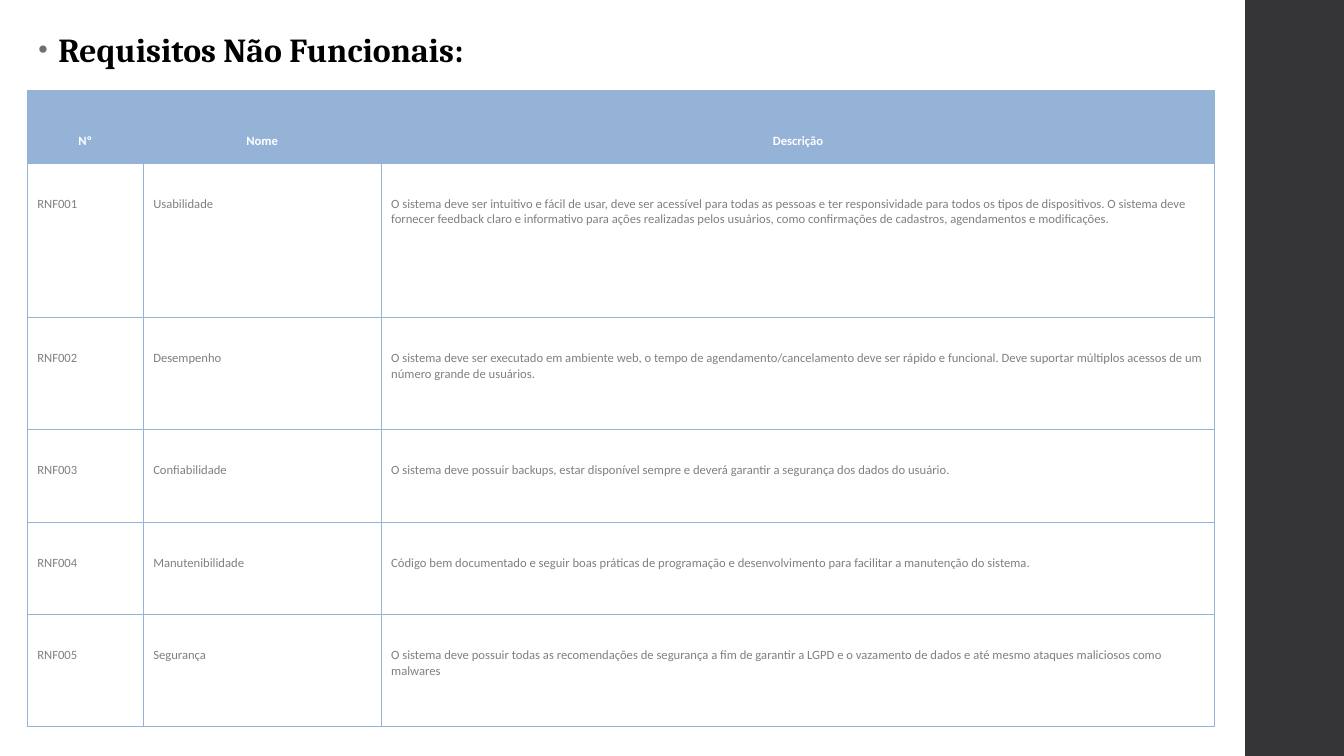
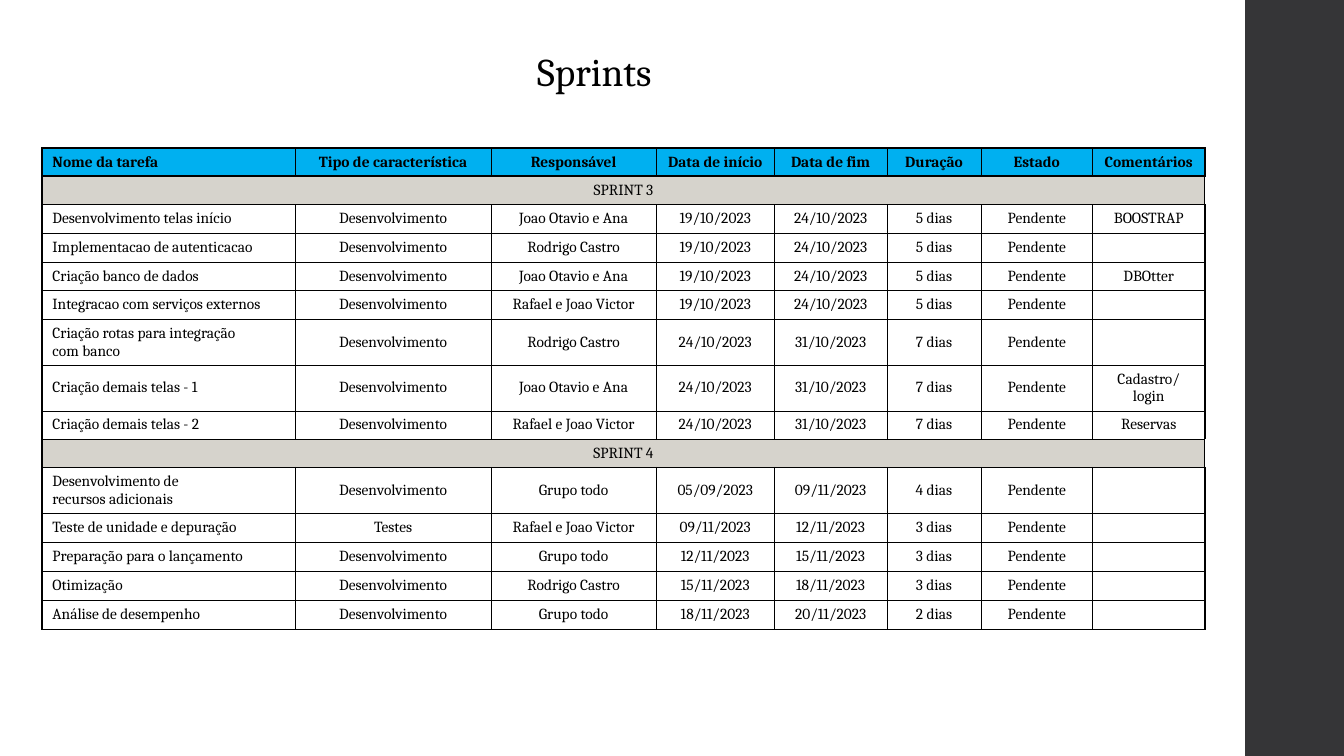
from lxml.etree import SubElement
from pptx import Presentation
from pptx.dml.color import RGBColor
from pptx.enum.shapes import MSO_SHAPE
from pptx.enum.text import MSO_ANCHOR, MSO_AUTO_SIZE, PP_ALIGN
from pptx.oxml.ns import qn
from pptx.util import Inches, Pt

COLORS = {
    "band": "353537", "bullet": "6F6F74", "black": "000000", "white": "FFFFFF",
    "steel": "95B3D7", "gray": "808080", "sky": "00B0F0", "sand": "D6D3CC",
}
SLIDE_W, SLIDE_H, BAND_X = 13.33, 7.5, 12.35
NBSP = chr(160)  # written as ~ in the texts below

REQ_TITLE = "Requisitos~Não Funcionais:"
REQ_COLS = [1.15, 2.36, 8.27]
REQ_ROWS = [0.72, 1.53, 1.11, 0.92, 0.92, 1.11]
REQ_TOP_MARGIN = 0.33
REQUIREMENTS = [
    ("Nº", "Nome", "Descrição"),
    ("RNF001", "Usabilidade",
     "O sistema deve ser intuitivo e fácil de usar, deve ser acessível para todas as pessoas "
     "e ter responsividade para todos os tipos de dispositivos. O sistema deve fornecer "
     "feedback claro e informativo para ações realizadas pelos usuários, como confirmações "
     "de cadastros, agendamentos e modificações."),
    ("RNF002", "Desempenho",
     "O sistema deve ser executado em ambiente web, o tempo de agendamento/cancelamento deve "
     "ser rápido e funcional. Deve suportar múltiplos acessos de um número grande de usuários."),
    ("RNF003", "Confiabilidade",
     "O sistema deve possuir backups, estar disponível sempre e deverá garantir a segurança "
     "dos dados do usuário."),
    ("RNF004", "Manutenibilidade",
     "Código bem documentado e seguir boas práticas de programação e desenvolvimento para "
     "facilitar a manutenção do sistema."),
    ("RNF005", "Segurança",
     "O sistema deve possuir todas as recomendações de segurança a fim de garantir a LGPD e o "
     "vazamento de dados e até mesmo ataques maliciosos como malwares"),
]

SPRINT_TITLE = "Sprints"
SPRINT_COLS = [2.51, 1.94, 1.64, 1.17, 1.12, 0.93, 1.11, 1.11]
ROW_H, TALL_ROW_H = 0.28, 0.45
TALL_ROWS = {6, 7, 10}
DEV, OPEN = "Desenvolvimento", "Pendente"
SPRINTS = [
    ("Nome da tarefa", "Tipo~de~característica", "Responsável", "Data de início",
     "Data de fim", "Duração", "Estado", "Comentários"),
    ("SPRINT 3",),
    ("Desenvolvimento telas início", DEV, "Joao Otavio e Ana",
     "19/10/2023", "24/10/2023", "5 dias", OPEN, "BOOSTRAP"),
    ("Implementacao~de~autenticacao", DEV, "Rodrigo Castro",
     "19/10/2023", "24/10/2023", "5 dias", OPEN, ""),
    ("Criação banco de dados", DEV, "Joao Otavio e Ana",
     "19/10/2023", "24/10/2023", "5 dias", OPEN, "DBOtter"),
    ("Integracao~com serviços externos", DEV, "Rafael e Joao Victor",
     "19/10/2023", "24/10/2023", "5 dias", OPEN, ""),
    ("Criação rotas para integração com~banco", DEV, "Rodrigo Castro",
     "24/10/2023", "31/10/2023", "7 dias", OPEN, ""),
    ("Criação demais telas - 1", DEV, "Joao Otavio e Ana",
     "24/10/2023", "31/10/2023", "7 dias", OPEN, "Cadastro/login"),
    ("Criação demais telas - 2", DEV, "Rafael e Joao Victor",
     "24/10/2023", "31/10/2023", "7 dias", OPEN, "Reservas"),
    ("SPRINT 4",),
    ("Desenvolvimento de recursos~adicionais", DEV, "Grupo todo",
     "05/09/2023", "09/11/2023", "4 dias", OPEN, ""),
    ("Teste de unidade e~depuração", "Testes", "Rafael e Joao Victor",
     "09/11/2023", "12/11/2023", "3 dias", OPEN, ""),
    ("Preparação~para o lançamento", DEV, "Grupo todo",
     "12/11/2023", "15/11/2023", "3 dias", OPEN, ""),
    ("Otimização", DEV, "Rodrigo Castro",
     "15/11/2023", "18/11/2023", "3 dias", OPEN, ""),
    ("Análise de desempenho", DEV, "Grupo todo",
     "18/11/2023", "20/11/2023", "2 dias", OPEN, ""),
]


def rgb(name):
    return RGBColor.from_string(COLORS[name])


def write(tf, text, size, font, color, bold=False, align=PP_ALIGN.LEFT):
    """Fill the first paragraph; an empty one still keeps the given text size."""
    p = tf.paragraphs[0]
    p.alignment = align
    if not text:
        SubElement(p._p, qn("a:endParaRPr"), sz=str(size * 100))
        return p
    r = p.add_run()
    r.text = text.replace("~", NBSP)
    r.font.size, r.font.name, r.font.bold = Pt(size), font, bold
    r.font.color.rgb = rgb(color)
    return p


def add_bullet(p, indent):
    pPr = p._p.get_or_add_pPr()
    pPr.set("marL", str(Inches(indent)))
    pPr.set("indent", str(-Inches(indent)))
    SubElement(SubElement(pPr, qn("a:buClr")), qn("a:srgbClr"), val=COLORS["bullet"])
    SubElement(pPr, qn("a:buSzPct"), val="80000")
    SubElement(pPr, qn("a:buFont"), typeface="Arial")
    SubElement(pPr, qn("a:buChar"), char="•")


def add_band(slide, layout):
    """Put the dark side band on the layout, so that every slide shows it."""
    sp = slide.shapes.add_shape(MSO_SHAPE.RECTANGLE, Inches(BAND_X), 0,
                                Inches(SLIDE_W - BAND_X), Inches(SLIDE_H))
    sp.shadow.inherit = False
    sp.fill.solid()
    sp.fill.fore_color.rgb = rgb("band")
    sp.line.fill.background()
    layout.shapes.element.append(sp.element)


def set_title(slide, text, box, size, bold, align):
    sp = slide.shapes.title
    sp.left, sp.top, sp.width, sp.height = map(Inches, box)
    tf = sp.text_frame
    tf.word_wrap, tf.auto_size = True, MSO_AUTO_SIZE.NONE
    tf.vertical_anchor = MSO_ANCHOR.MIDDLE
    return write(tf, text, size, "Cambria", "black", bold, align)


def add_grid(slide, left, top, cols, rows):
    table = slide.shapes.add_table(len(rows), len(cols), Inches(left), Inches(top),
                                   Inches(sum(cols)), Inches(sum(rows))).table
    table.first_row = table.horz_banding = False
    for col, width in zip(table.columns, cols):
        col.width = Inches(width)
    for row, height in zip(table.rows, rows):
        row.height = Inches(height)
    return table


def style_cell(cell, fill, color, widths):
    """Draw the borders (widths in points: left, right, top, bottom) and the fill."""
    tcPr = cell._tc.get_or_add_tcPr()
    for side, width in zip("LRTB", widths):
        ln = SubElement(tcPr, qn("a:ln" + side), w=str(Pt(width)))
        SubElement(SubElement(ln, qn("a:solidFill")), qn("a:srgbClr"), val=COLORS[color])
    if fill:
        cell.fill.solid()
        cell.fill.fore_color.rgb = rgb(fill)
    else:
        cell.fill.background()


def build_requirements(slide):
    p = set_title(slide, REQ_TITLE, (0.28, 0.24, 11.82, 0.5), 24, True, PP_ALIGN.LEFT)
    add_bullet(p, 0.2)
    table = add_grid(slide, 0.27, 0.9, REQ_COLS, REQ_ROWS)
    for i, texts in enumerate(REQUIREMENTS):
        head = i == 0
        for j, text in enumerate(texts):
            cell = table.cell(i, j)
            style_cell(cell, "steel" if head else None, "steel", [0.75] * 4)
            cell.margin_top = Inches(REQ_TOP_MARGIN)
            cell.vertical_anchor = MSO_ANCHOR.MIDDLE if head else MSO_ANCHOR.TOP
            write(cell.text_frame, text, 9, "Calibri", "white" if head else "gray", head,
                  PP_ALIGN.CENTER if head else PP_ALIGN.LEFT)


def build_sprints(slide):
    set_title(slide, SPRINT_TITLE, (2.65, 0.42, 6.49, 0.57), 28, False, PP_ALIGN.CENTER)
    heights = [TALL_ROW_H if i in TALL_ROWS else ROW_H for i in range(len(SPRINTS))]
    table = add_grid(slide, 0.42, 1.47, SPRINT_COLS, heights)
    last_row, last_col = len(SPRINTS) - 1, len(SPRINT_COLS) - 1
    for i, texts in enumerate(SPRINTS):
        head, section = i == 0, len(texts) == 1
        fill = "sky" if head else "sand" if section else None
        for j in range(last_col + 1):
            thick = (j == 0, j == last_col, i <= 1, i in (0, last_row))
            style_cell(table.cell(i, j), fill, "black", [1.5 if t else 0.5 for t in thick])
        if section:
            table.cell(i, 0).merge(table.cell(i, last_col))
        for j, text in enumerate(texts):
            cell = table.cell(i, j)
            cell.vertical_anchor = MSO_ANCHOR.MIDDLE
            left = j == 0 and not section
            write(cell.text_frame, text, 11, "Cambria", "black", head,
                  PP_ALIGN.LEFT if left else PP_ALIGN.CENTER)


def main():
    prs = Presentation()
    prs.slide_width, prs.slide_height = Inches(SLIDE_W), Inches(SLIDE_H)
    layout = prs.slide_layouts[5]
    slides = [prs.slides.add_slide(layout) for _ in range(2)]
    add_band(slides[0], layout)
    for slide, build in zip(slides, (build_requirements, build_sprints)):
        build(slide)
    prs.save("out.pptx")


if __name__ == "__main__":
    main()
